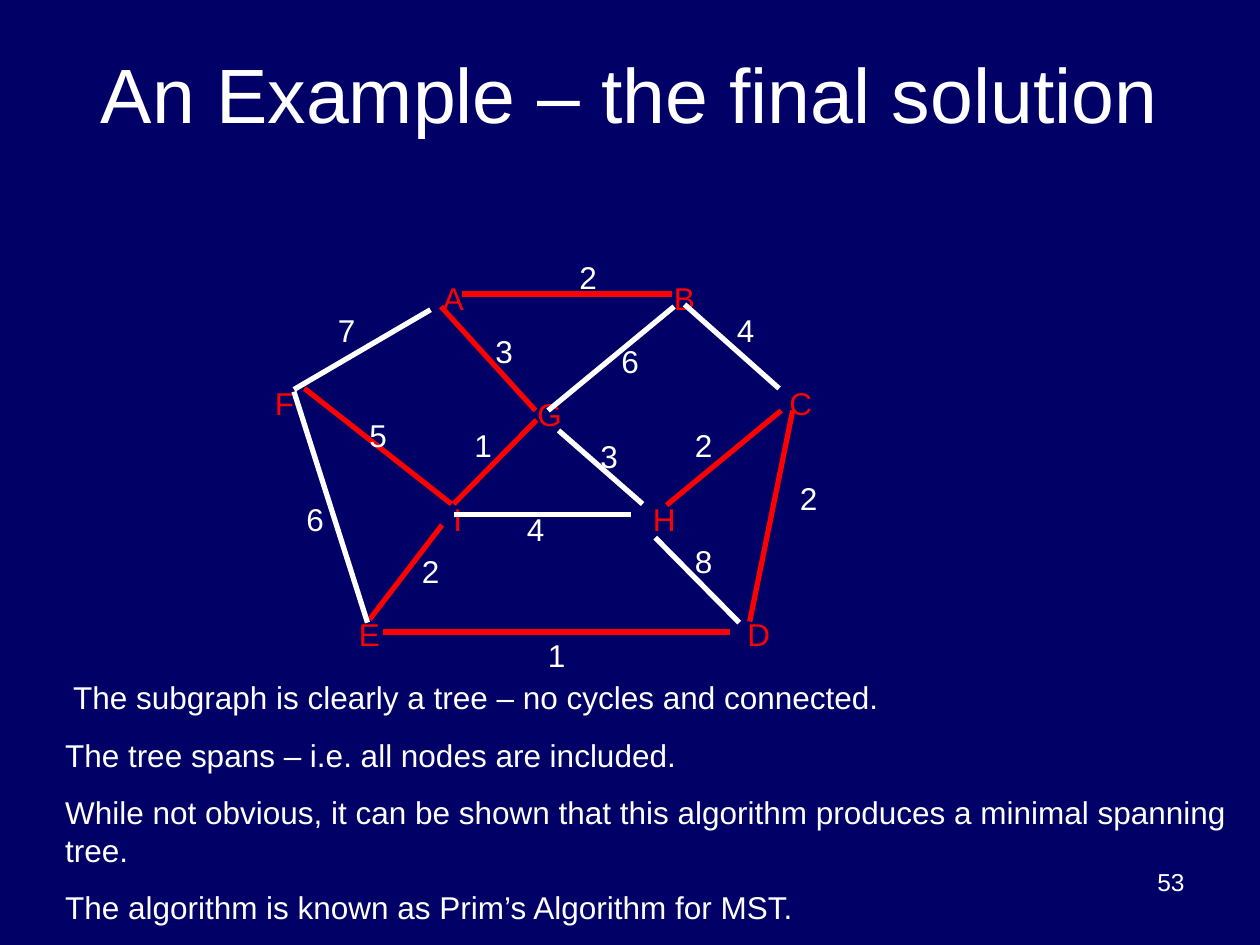
from lxml.etree import SubElement
from pptx import Presentation
from pptx.dml.color import RGBColor
from pptx.enum.shapes import MSO_CONNECTOR
from pptx.enum.text import MSO_ANCHOR, MSO_AUTO_SIZE, PP_ALIGN
from pptx.oxml.ns import qn
from pptx.util import Inches, Pt

NAVY = RGBColor(0x00, 0x00, 0x66)
WHITE = RGBColor(0xFF, 0xFF, 0xFF)
RED = RGBColor(0xFF, 0x00, 0x00)

NODES = [
    ("D", 70, 58), ("E", 33, 58), ("H", 61, 47), ("I", 42, 47), ("F", 25, 36),
    ("C", 74, 36), ("G", 50, 37), ("B", 63, 26), ("A", 41, 26),
]
EDGES = [
    (44, 28, 64, 28, RED),
    (29, 37, 43, 48, RED),
    (28, 37.1, 41, 29.5, WHITE),
    (42, 29.2, 51, 39.1, RED),
    (64.2, 29.2, 52.2, 39.1, WHITE),
    (51.1, 40, 43.2, 48, RED),
    (53.2, 41, 61.2, 48, WHITE),
    (65.2, 29, 74.2, 37, WHITE),
    (74.4, 39.1, 63.5, 48.1, RED),
    (75.5, 39.1, 71.4, 59.2, RED),
    (62.4, 51.2, 70.4, 59.3, WHITE),
    (43.2, 49, 60.1, 49, WHITE),
    (42.1, 50, 35.2, 59, RED),
    (28, 37.3, 35, 59.3, WHITE),
    (36.5, 60.2, 69.5, 60.2, RED),
]
WEIGHTS = [
    ("8", 65, 51), ("6", 28, 47), ("5", 34, 39), ("3", 56, 41), ("3", 46, 31),
    ("2", 39, 52), ("2", 75, 45), ("2", 54, 24), ("1", 44, 40), ("6", 58, 32),
    ("1", 51, 60), ("4", 49, 48), ("2", 65, 40), ("4", 69, 29), ("7", 31, 29),
]
REMARKS = [
    " The subgraph is clearly a tree – no cycles and connected.",
    "The tree spans – i.e. all nodes are included.",
    "While not obvious, it can be shown that this algorithm produces a minimal spanning tree.",
    "The algorithm is known as Prim’s Algorithm for MST.",
]


class GraphSlide:
    """Draws a weighted graph slide on a grid of 120 columns by 90 rows."""

    font_name = "Arial"
    text_size = 18
    edge_width = Pt(3)

    def __init__(self, deck):
        self.column = deck.slide_width / 120
        self.row = deck.slide_height / 90
        self.page = deck.slides.add_slide(deck.slide_layouts[1])
        self.page.background.fill.solid()
        self.page.background.fill.fore_color.rgb = NAVY

    def place(self, columns, rows):
        return int(columns * self.column), int(rows * self.row)

    def move(self, box, left, top, width, height):
        box.left, box.top = self.place(left, top)
        box.width, box.height = self.place(width, height)

    def style(self, box, color, size, align):
        frame = box.text_frame
        frame.word_wrap = True
        frame.auto_size = MSO_AUTO_SIZE.NONE
        for para in frame.paragraphs:
            para.alignment = align
            for span in para.runs:
                span.font.name = self.font_name
                span.font.size = Pt(size)
                span.font.color.rgb = color

    def title(self, text, *area):
        box = self.page.shapes.title
        self.move(box, *area)
        box.text_frame.text = text
        box.text_frame.vertical_anchor = MSO_ANCHOR.MIDDLE
        self.style(box, WHITE, 44, PP_ALIGN.CENTER)

    def remarks(self, lines, *area):
        box = self.page.placeholders[1]
        self.move(box, *area)
        box.text_frame.text = "\n".join(lines)
        for number, para in enumerate(box.text_frame.paragraphs):
            properties = para._p.get_or_add_pPr()
            properties.set("marL", "0")
            properties.set("indent", "0")
            SubElement(properties, qn("a:buNone"))
            para.space_before = Pt(11.2 if number else 0)
        self.style(box, WHITE, self.text_size, PP_ALIGN.LEFT)

    def label(self, text, left, top, color, width=5, height=4.8,
              size=text_size, align=PP_ALIGN.LEFT):
        box = self.page.shapes.add_textbox(
            *self.place(left, top), *self.place(width, height))
        box.text_frame.text = text
        self.style(box, color, size, align)

    def edge(self, start_column, start_row, end_column, end_row, color):
        line = self.page.shapes.add_connector(
            MSO_CONNECTOR.STRAIGHT,
            *self.place(start_column, start_row),
            *self.place(end_column, end_row))
        line.line.color.rgb = color
        line.line.width = self.edge_width
        SubElement(line._element.spPr, qn("a:effectLst"))


def main():
    deck = Presentation()
    deck.slide_width, deck.slide_height = Inches(10), Inches(7.5)
    graph = GraphSlide(deck)
    graph.title("An Example – the final solution", 6, 3.6, 108, 10.4)
    for name, left, top in NODES:
        graph.label(name, left, top, RED)
    for edge in EDGES:
        graph.edge(*edge)
    for weight, left, top in WEIGHTS:
        graph.label(weight, left, top, WHITE)
    graph.remarks(REMARKS, 5, 64, 113, 24.8)
    graph.label("53", 86, 82, WHITE, 28, 6.2, 14, PP_ALIGN.RIGHT)
    deck.save("out.pptx")


if __name__ == "__main__":
    main()
